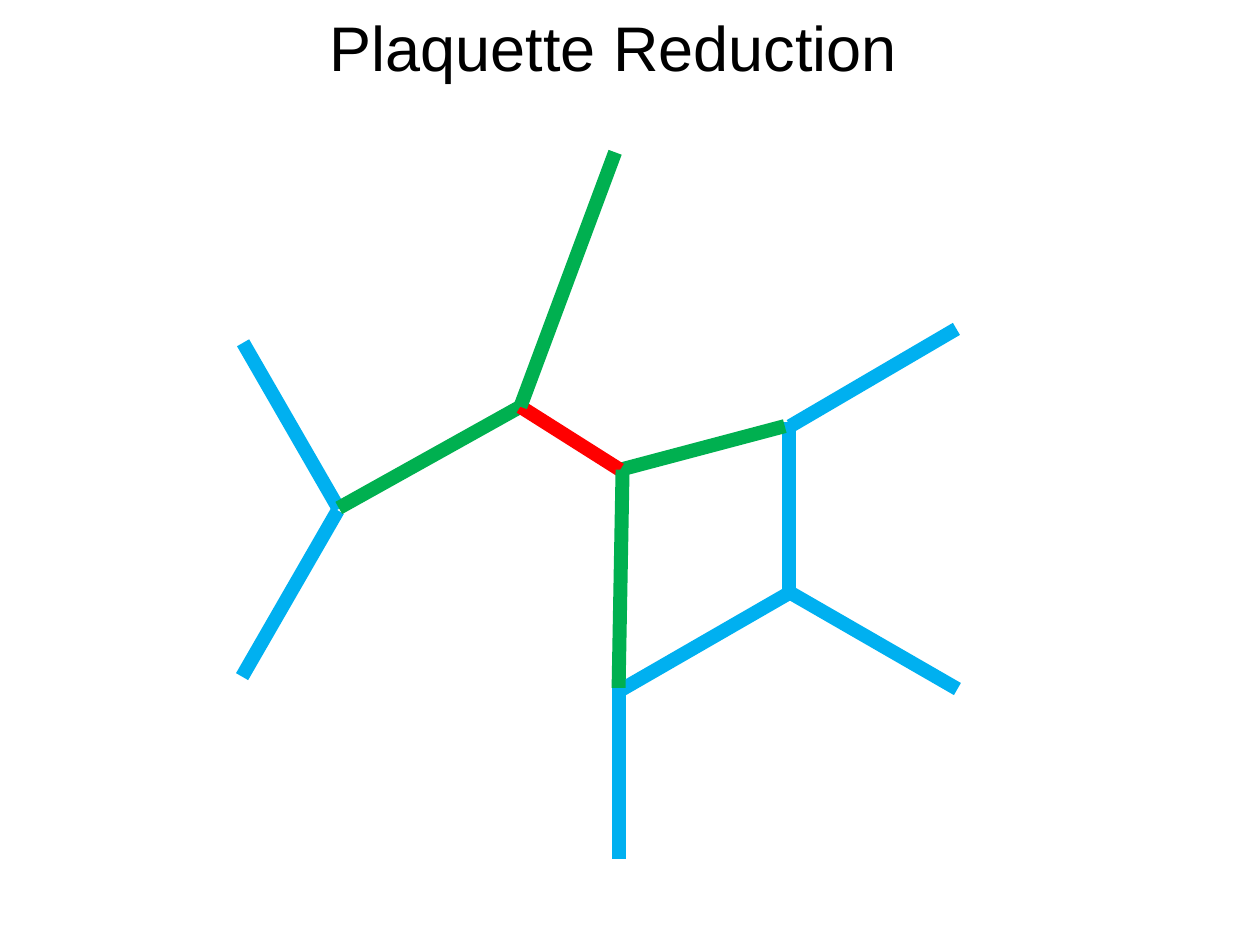
from dataclasses import dataclass

from pptx import Presentation
from pptx import util as u
from pptx.dml.color import RGBColor
from pptx.enum import shapes, text
from pptx.oxml.ns import qn
from lxml import etree


@dataclass(frozen=True)
class Theme:
    outer: RGBColor = RGBColor(0x00, 0xB0, 0xF0)
    neighbour: RGBColor = RGBColor(0x00, 0xB0, 0x50)
    flipped: RGBColor = RGBColor(0xFF, 0x00, 0x00)
    ink: RGBColor = RGBColor(0x00, 0x00, 0x00)
    font: str = "Arial"
    title_size: int = 36
    edge_width: int = 8


THEME = Theme()

# Vertices of the graph, in centimetres
FLIP_LEFT = (10.49, 8.2)
FLIP_RIGHT = (12.5, 9.47)
LOWER_RIGHT = (15.95, 11.96)
BOTTOM = (12.47, 13.87)

# Edges from back to front: start, end, colour
EDGES = [
    ((15.9, 8.51), (15.9, 12.01), THEME.outer),
    ((19.28, 6.63), (15.93, 8.59), THEME.outer),
    ((19.3, 13.89), LOWER_RIGHT, THEME.outer),
    ((15.9, 11.96), (12.55, 13.89), THEME.outer),
    ((4.9, 6.91), (6.83, 10.26), THEME.outer),
    ((6.81, 10.29), (4.88, 13.64), THEME.outer),
    ((15.82, 8.59), FLIP_RIGHT, THEME.neighbour),
    ((6.83, 10.24), FLIP_LEFT, THEME.neighbour),
    (FLIP_RIGHT, FLIP_LEFT, THEME.flipped),
    ((12.55, 9.47), BOTTOM, THEME.neighbour),
    ((12.4, 3.07), FLIP_LEFT, THEME.neighbour),
    (BOTTOM, (12.47, 17.32), THEME.outer),
]


def add_edge(slide, start, end, colour):
    points = [u.Cm(value) for value in start + end]
    edge = slide.shapes.add_connector(shapes.MSO_CONNECTOR.STRAIGHT, *points)
    edge.line.color.rgb = colour
    edge.line.width = u.Pt(THEME.edge_width)
    etree.SubElement(edge._element.spPr, qn("a:effectLst"))


def add_title(slide, wording):
    box = slide.shapes.add_textbox(u.Cm(6.4), u.Cm(0.05), u.Cm(12.07), u.Cm(1.8))
    frame = box.text_frame
    frame.word_wrap = False
    frame.auto_size = text.MSO_AUTO_SIZE.SHAPE_TO_FIT_TEXT
    paragraph = frame.paragraphs[0]
    paragraph.alignment = text.PP_ALIGN.LEFT
    run = paragraph.add_run()
    run.text = wording
    run.font.name = THEME.font
    run.font.size = u.Pt(THEME.title_size)
    run.font.color.rgb = THEME.ink


def main():
    presentation = Presentation()
    presentation.slide_width = u.Cm(25.4)
    presentation.slide_height = u.Cm(19.05)
    slide = presentation.slides.add_slide(presentation.slide_layouts[6])
    for start, end, colour in EDGES:
        add_edge(slide, start, end, colour)
    add_title(slide, "Plaquette Reduction")
    presentation.save("out.pptx")


if __name__ == "__main__":
    main()
